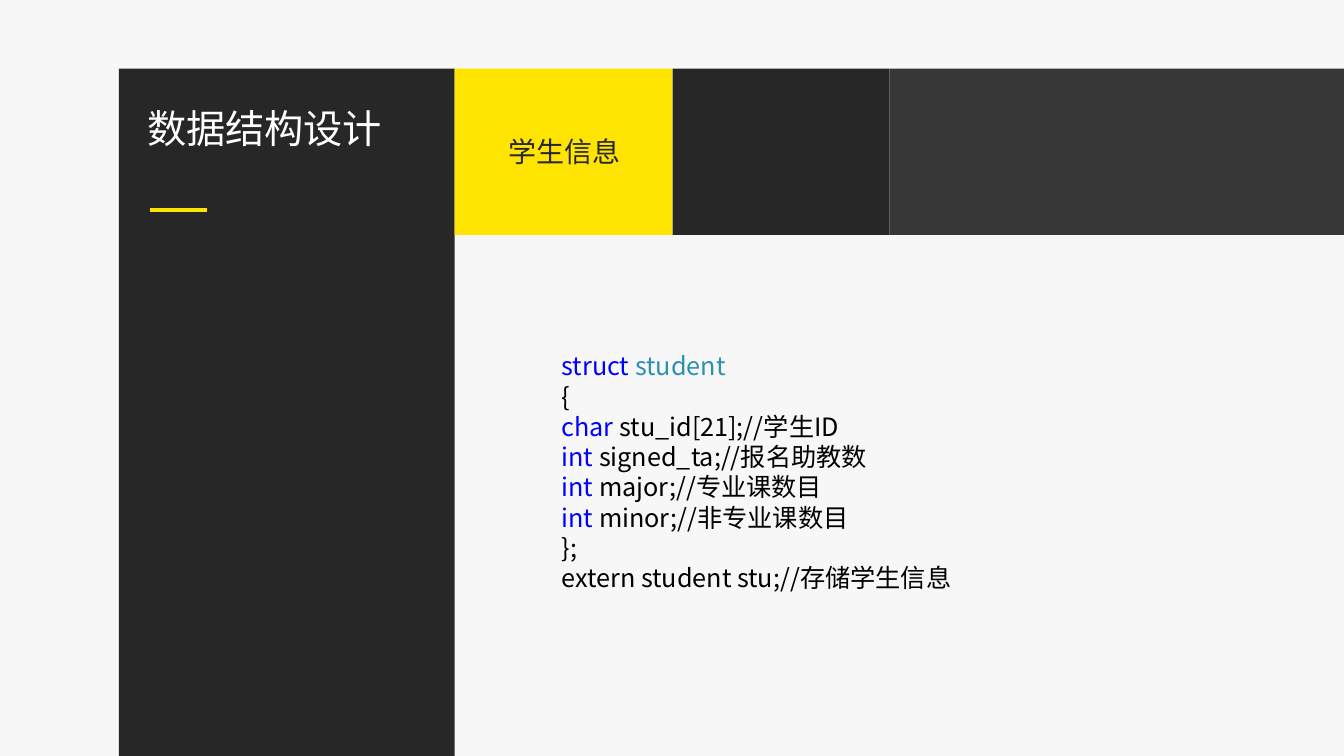
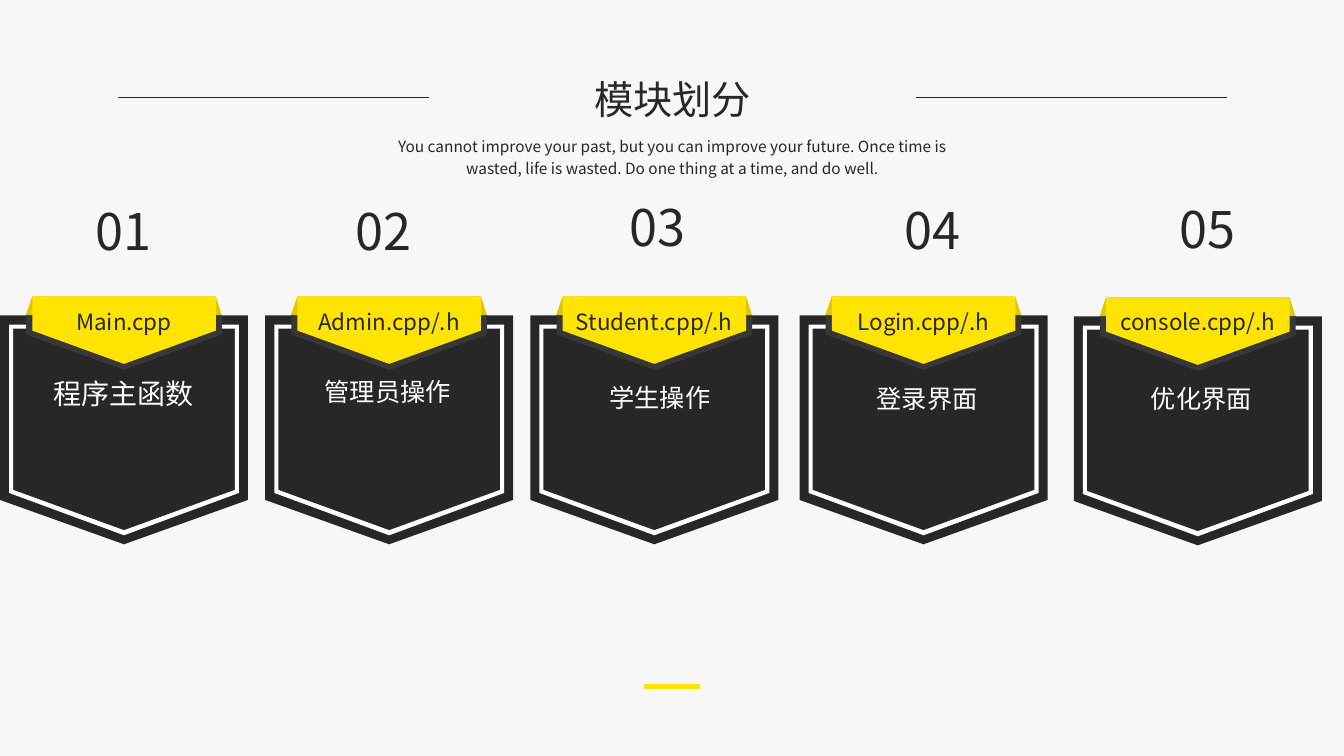
from collections import namedtuple

from lxml.etree import SubElement
from pptx import Presentation
from pptx.dml.color import RGBColor
from pptx.enum.shapes import MSO_CONNECTOR as Connector, MSO_SHAPE as Preset
from pptx.enum.text import MSO_ANCHOR as Anchor, MSO_AUTO_SIZE as AutoSize, PP_ALIGN as Align
from pptx.oxml import parse_xml
from pptx.oxml.ns import nsdecls, qn
from pptx.util import Pt

EMU_PER_PX = 9144
WIDTH, HEIGHT = 1333, 750
FONT = "Noto Sans CJK SC"

PAPER = RGBColor(0xF7, 0xF7, 0xF7)
DARK = RGBColor(0x27, 0x27, 0x27)
GRAY = RGBColor(0x37, 0x37, 0x37)
YELLOW = RGBColor(0xFF, 0xE4, 0x01)
FOLD = RGBColor(0xE0, 0xC6, 0x06)
WHITE = RGBColor(0xFF, 0xFF, 0xFF)
BLACK = RGBColor(0x00, 0x00, 0x00)
KEYWORD = RGBColor(0x00, 0x00, 0xFF)
TYPE_NAME = RGBColor(0x2B, 0x91, 0xAF)

TITLE_SIZE = 28
FRAME_FORMAT = {
    "word_wrap": True,
    "auto_size": AutoSize.NONE,
    "vertical_anchor": Anchor.TOP,
    "margin_left": 10 * EMU_PER_PX,
    "margin_right": 10 * EMU_PER_PX,
    "margin_top": 5 * EMU_PER_PX,
    "margin_bottom": 5 * EMU_PER_PX,
}

CODE = [
    [("struct ", KEYWORD), ("student", TYPE_NAME)],
    [("{", BLACK)],
    [("char ", KEYWORD), ("stu_id[21];//学生ID", BLACK)],
    [("int ", KEYWORD), ("signed_ta;//报名助教数", BLACK)],
    [("int", KEYWORD), (" major;//专业课数目", BLACK)],
    [("int", KEYWORD), (" minor;//非专业课数目", BLACK)],
    [("};", BLACK)],
    [("extern student stu;//存储学生信息", BLACK)],
]

Module = namedtuple("Module", "left top number_left number_top file caption caption_left caption_top size")
MODULES = [
    Module(0, 294, 83, 194, "Main.cpp", "程序主函数", 15, 362, 20),
    Module(263, 294, 341, 194, "Admin.cpp/.h", "管理员操作", 277, 362, 18),
    Module(526, 294, 613, 190, "Student.cpp/.h", "学生操作", 547, 368, 18),
    Module(793, 294, 885, 193, "Login.cpp/.h", "登录界面", 812, 369, 18),
    Module(1065, 295, 1158, 192, "console.cpp/.h", "优化界面", 1084, 369, 18),
]


def px(*lengths):
    return [length * EMU_PER_PX for length in lengths]


def pennant(left, top, right, shoulder, tip):
    middle = (left + right) / 2
    return [(left, top), (right, top), (right, shoulder), (middle, tip), (left, shoulder)]


BADGE_PARTS = [
    (FOLD, [[(32, 0), (214, 0), (226, 38), (19, 38)]]),
    (DARK, [pennant(0, 19, 246, 202, 246)]),
    (WHITE, [pennant(9, 28, 237, 195, 237), pennant(13, 32, 233, 192, 232)]),
    (GRAY, [pennant(26, 19, 220, 38, 73)]),
    (YELLOW, [pennant(32, 0, 214, 34, 67)]),
]


class Deck:
    def __init__(self):
        self.presentation = Presentation()
        self.presentation.slide_width, self.presentation.slide_height = px(WIDTH, HEIGHT)
        background = self.presentation.slide_master.background.fill
        background.solid()
        background.fore_color.rgb = PAPER
        self.slide = None

    def new_slide(self, layout):
        self.slide = self.presentation.slides.add_slide(self.presentation.slide_layouts[layout])

    def paint(self, shape, color):
        shape.fill.solid()
        shape.fill.fore_color.rgb = color
        shape.line.fill.background()
        shape.shadow.inherit = False

    def rectangle(self, left, top, width, height, color):
        shape = self.slide.shapes.add_shape(Preset.RECTANGLE, *px(left, top, width, height))
        self.paint(shape, color)

    def outline(self, left, top, contours, color):
        contours = [[(left + x, top + y) for x, y in contour] for contour in contours]
        builder = self.slide.shapes.build_freeform(*contours[0][0], scale=EMU_PER_PX)
        builder.add_line_segments(contours[0][1:], close=True)
        for contour in contours[1:]:
            builder.move_to(*contour[0])
            builder.add_line_segments(contour[1:], close=True)
        self.paint(builder.convert_to_shape(), color)

    def rule(self, left, right, y, color, weight):
        line = self.slide.shapes.add_connector(Connector.STRAIGHT, *px(left, y, right, y))
        line.line.color.rgb = color
        line.line.width = Pt(weight)
        line.element.spPr.append(parse_xml(f"<a:effectLst {nsdecls('a')}/>"))

    def fill_text(self, shape, lines, size, align, spacing):
        frame = shape.text_frame
        for name, value in FRAME_FORMAT.items():
            setattr(frame, name, value)
        paragraph_format = {
            "alignment": align, "line_spacing": spacing,
            "space_before": Pt(0), "space_after": Pt(0),
        }
        for index, line in enumerate(lines):
            paragraph = frame.add_paragraph() if index else frame.paragraphs[0]
            for name, value in paragraph_format.items():
                setattr(paragraph, name, value)
            for text, color in line:
                run = paragraph.add_run()
                run.text = text
                for name, value in {"name": FONT, "size": Pt(size)}.items():
                    setattr(run.font, name, value)
                run.font.color.rgb = color
        for properties in shape.element.iter(qn("a:rPr")):
            SubElement(properties, qn("a:ea"), typeface=FONT)

    def text(self, left, top, width, height, text, size, color, align=Align.CENTER, spacing=1.0):
        shape = self.slide.shapes.add_textbox(*px(left, top, width, height))
        self.fill_text(shape, [[(text, color)]], size, align, spacing)

    def place(self, shape, box):
        for name, value in zip(("left", "top", "width", "height"), px(*box)):
            setattr(shape, name, value)
        shape.element.getparent().append(shape.element)

    def title(self, left, top, width, height, text, color, align):
        shape = self.slide.shapes.title
        self.place(shape, (left, top, width, height))
        self.fill_text(shape, [[(text, color)]], TITLE_SIZE, align, 1.0)

    def body(self, left, top, width, height, lines, size):
        shape = self.slide.placeholders[1]
        self.place(shape, (left, top, width, height))
        self.fill_text(shape, lines, size, Align.LEFT, 1.0)
        for properties in shape.element.iter(qn("a:pPr")):
            properties.set("marL", "0")
            properties.set("indent", "0")
            SubElement(properties, qn("a:buNone"))

    def module(self, number, module):
        for color, contours in BADGE_PARTS:
            self.outline(module.left, module.top, contours, color)
        self.text(module.left + 23, 301, 200, 37, module.file, 16, DARK)
        self.text(module.caption_left, module.caption_top, 215, 47, module.caption,
                  module.size, WHITE, spacing=1.2)
        self.text(module.number_left, module.number_top, 79, 71, f"{number:02}", 36, DARK)


def build_data_structure(deck):
    deck.new_slide(1)
    deck.rectangle(118, 68, 333, HEIGHT - 68, DARK)
    tab_lefts = (451, 667, 882, WIDTH)
    for left, right, color in zip(tab_lefts, tab_lefts[1:], (YELLOW, DARK, GRAY)):
        deck.rectangle(left, 68, right - left, 165, color)
    deck.title(136, 98, 300, 57, "数据结构设计", WHITE, Align.LEFT)
    deck.rule(149, 205, 208, YELLOW, 3)
    deck.text(494, 129, 141, 44, "学生信息", 20, DARK, Align.LEFT)
    deck.body(547, 343, 667, 252, CODE, 18)


def build_modules(deck):
    deck.new_slide(5)
    deck.title(517, 70, 300, 57, "模块划分", DARK, Align.CENTER)
    for left in (117, 909):
        deck.rule(left, left + 308, 97, DARK, 0.5)
    deck.text(371, 127, 592, 53,
              "You cannot improve your past, but you can improve your future. "
              "Once time is wasted, life is wasted. Do one thing at a time, and do well.",
              11, DARK, spacing=1.2)
    for number, module in enumerate(MODULES, 1):
        deck.module(number, module)
    deck.rule(639, 694, 681, YELLOW, 3)


def main():
    deck = Deck()
    build_data_structure(deck)
    build_modules(deck)
    deck.presentation.save("out.pptx")


if __name__ == "__main__":
    main()
